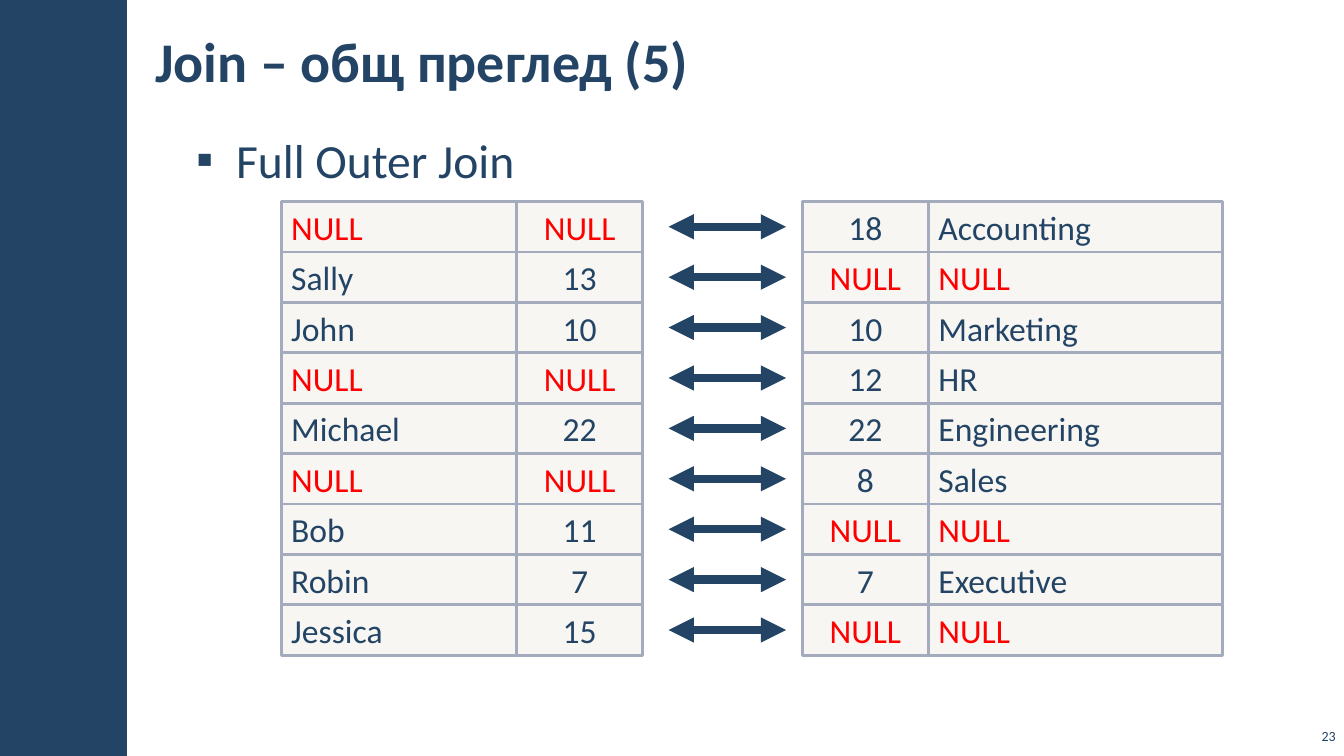
from dataclasses import dataclass

from lxml import etree
from pptx import Presentation
from pptx.dml.color import RGBColor
from pptx.enum.shapes import MSO_CONNECTOR, MSO_SHAPE
from pptx.enum.text import MSO_ANCHOR, MSO_AUTO_SIZE, PP_ALIGN
from pptx.oxml.ns import qn
from pptx.slide import Slide
from pptx.text.text import TextFrame
from pptx.util import Cm, Pt

RECTANGLE = MSO_SHAPE.RECTANGLE
STRAIGHT = MSO_CONNECTOR.STRAIGHT
TOP, MIDDLE, BOTTOM = MSO_ANCHOR.TOP, MSO_ANCHOR.MIDDLE, MSO_ANCHOR.BOTTOM
LEFT, CENTER, RIGHT = PP_ALIGN.LEFT, PP_ALIGN.CENTER, PP_ALIGN.RIGHT
NO_AUTOFIT = MSO_AUTO_SIZE.NONE

NAVY = RGBColor(0x23, 0x44, 0x65)
RED = RGBColor(0xFF, 0x00, 0x00)
SAND = RGBColor(0xD9, 0xD5, 0xC7)
GRAY = RGBColor(0xA3, 0xAB, 0xBC)
FONT = "Calibri"

ROWS_TOP = 5.08
ROW_HEIGHT = 1.27
ARROW_START, ARROW_END = 16.85, 19.81


@dataclass(frozen=True)
class Column:
    left: float
    width: float
    align: PP_ALIGN
    values: tuple[str, ...]


COLUMNS = (
    Column(7.09, 5.93, LEFT, ("NULL", "Sally", "John", "NULL", "Michael",
                              "NULL", "Bob", "Robin", "Jessica")),
    Column(13.02, 3.18, CENTER, ("NULL", "13", "10", "NULL", "22",
                                 "NULL", "11", "7", "15")),
    Column(20.22, 3.18, CENTER, ("18", "NULL", "10", "12", "22",
                                 "8", "NULL", "7", "NULL")),
    Column(23.4, 7.42, LEFT, ("Accounting", "NULL", "Marketing", "HR",
                              "Engineering", "Sales", "NULL", "Executive",
                              "NULL")),
)


def write_text(frame: TextFrame, text: str, size: int, align: PP_ALIGN,
               anchor: MSO_ANCHOR, color: RGBColor = NAVY,
               bold: bool = False) -> None:
    frame.word_wrap = True
    frame.auto_size = NO_AUTOFIT
    frame.vertical_anchor = anchor
    para = frame.paragraphs[0]
    para.alignment = align
    span = para.add_run()
    span.text = text
    span.font.name = FONT
    span.font.size = Pt(size)
    span.font.bold = bold
    span.font.color.rgb = color


def set_placeholder_margins(frame: TextFrame) -> None:
    frame.margin_left = frame.margin_right = Cm(0.3)
    frame.margin_top = frame.margin_bottom = Cm(0.1)


def add_band(page: Slide, height: int) -> None:
    band = page.shapes.add_shape(RECTANGLE, 0, 0, Cm(3.2), height)
    band.shadow.inherit = False
    band.fill.solid()
    band.fill.fore_color.rgb = NAVY
    band.line.fill.background()


def add_title(page: Slide) -> None:
    title = page.shapes.title
    title.left, title.top = Cm(3.61), Cm(0.28)
    title.width, title.height = Cm(23.95), Cm(2.46)
    set_placeholder_margins(title.text_frame)
    write_text(title.text_frame, "Join – общ преглед (5)", 40, LEFT, MIDDLE,
               bold=True)


def add_body(page: Slide) -> None:
    body = page.placeholders[1]
    body.left, body.top = Cm(4.65), Cm(3.12)
    body.width, body.height = Cm(28.68), Cm(15.42)
    set_placeholder_margins(body.text_frame)
    write_text(body.text_frame, "Full Outer Join", 34, LEFT, TOP)
    para = body.text_frame.paragraphs[0]
    para.line_spacing = 1.05
    para.space_before = para.space_after = Pt(6)
    properties = para._p.get_or_add_pPr()
    properties.set("marL", str(Cm(1)))
    properties.set("indent", str(-Cm(1)))
    etree.SubElement(properties, qn("a:buFont"), typeface=FONT)
    etree.SubElement(properties, qn("a:buChar"), char="▪")


def add_cell(page: Slide, column: Column, row: int, text: str) -> None:
    cell = page.shapes.add_shape(
        RECTANGLE, Cm(column.left), Cm(ROWS_TOP + row * ROW_HEIGHT),
        Cm(column.width), Cm(ROW_HEIGHT))
    cell.shadow.inherit = False
    cell.fill.solid()
    cell.fill.fore_color.rgb = SAND
    tint = cell.fill._xPr.find(qn("a:solidFill"))[0]
    etree.SubElement(tint, qn("a:alpha"), val="20000")
    cell.line.color.rgb = GRAY
    cell.line.width = Pt(2)
    write_text(cell.text_frame, text, 24, column.align, MIDDLE,
               RED if text == "NULL" else NAVY)


def add_arrow(page: Slide, row: int) -> None:
    middle = Cm(ROWS_TOP + (row + 0.5) * ROW_HEIGHT)
    arrow = page.shapes.add_connector(
        STRAIGHT, Cm(ARROW_START), middle, Cm(ARROW_END), middle)
    arrow.line.color.rgb = NAVY
    arrow.line.width = Pt(6)
    outline = arrow.line._get_or_add_ln()
    for end in ("a:headEnd", "a:tailEnd"):
        etree.SubElement(outline, qn(end), type="triangle")
    etree.SubElement(arrow._element.spPr, qn("a:effectLst"))


def add_page_number(page: Slide) -> None:
    box = page.shapes.add_textbox(Cm(32.64), Cm(18.08), Cm(1.02), Cm(0.81))
    box.text_frame.margin_left = box.text_frame.margin_right = 0
    write_text(box.text_frame, "23", 10, RIGHT, BOTTOM)


def main() -> None:
    deck = Presentation()
    deck.slide_width, deck.slide_height = Cm(33.87), Cm(19.05)
    page = deck.slides.add_slide(deck.slide_layouts[1])
    add_band(page, deck.slide_height)
    add_title(page)
    add_body(page)
    for column in COLUMNS:
        for row, text in enumerate(column.values):
            add_cell(page, column, row, text)
    for row in range(len(COLUMNS[0].values)):
        add_arrow(page, row)
    add_page_number(page)
    deck.save("out.pptx")


if __name__ == "__main__":
    main()
